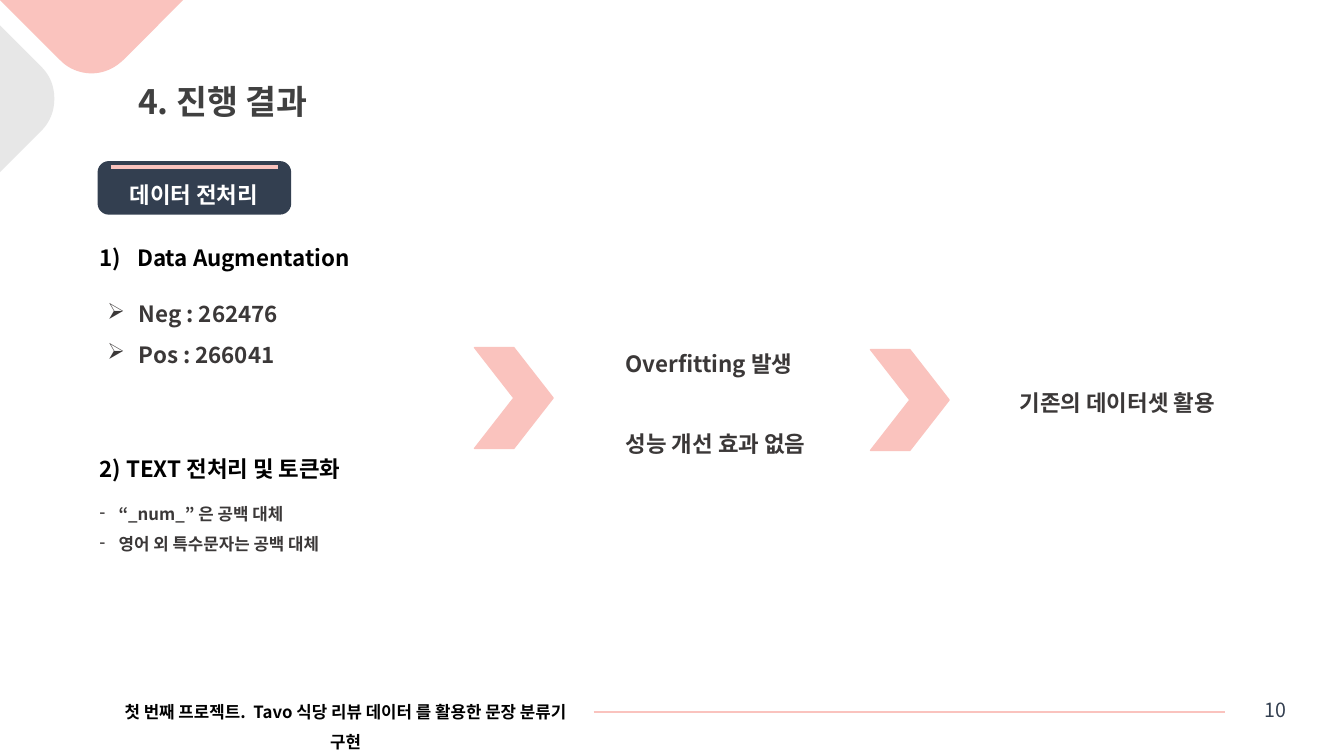
from dataclasses import dataclass

from lxml import etree
from pptx import Presentation
from pptx.dml.color import RGBColor
from pptx.enum.shapes import MSO_CONNECTOR, MSO_SHAPE
from pptx.enum.text import MSO_AUTO_SIZE, PP_ALIGN
from pptx.oxml.ns import qn
from pptx.util import Cm, Pt

LEFT, CENTER = PP_ALIGN.LEFT, PP_ALIGN.CENTER
ROUNDED, CHEVRON = MSO_SHAPE.ROUNDED_RECTANGLE, MSO_SHAPE.CHEVRON
STRAIGHT = MSO_CONNECTOR.STRAIGHT
GROW = MSO_AUTO_SIZE.SHAPE_TO_FIT_TEXT


@dataclass(frozen=True)
class Theme:
    font: str = "Noto Sans CJK KR"
    pink: str = "FAC3BE"
    grey: str = "E7E7E7"
    navy: str = "333F50"
    white: str = "FFFFFF"
    black: str = "000000"
    title_ink: str = "404040"
    body_ink: str = "3B3838"
    title: int = 24
    body: int = 16
    page: int = 14
    small: int = 12
    spacing: float = 1.5


THEME = Theme()


@dataclass(frozen=True)
class Box:
    """A region of the slide, in centimetres."""
    left: float
    top: float
    width: float
    height: float

    def inner(self, dx, dy, width, height):
        return Box(self.left + dx, self.top + dy, width, height)

    def emu(self):
        return [Cm(v) for v in (self.left, self.top, self.width, self.height)]


def rgb(color):
    return RGBColor.from_string(color)


def paint(shape, color, outlined=False):
    shape.shadow.inherit = False
    shape.fill.solid()
    shape.fill.fore_color.rgb = rgb(color)
    if outlined:
        shape.line.color.rgb = rgb(color)
        shape.line.width = Pt(1)
    else:
        shape.line.fill.background()


def add_bullet(paragraph, bullet, indent):
    props = paragraph._p.get_or_add_pPr()
    props.set("marL", str(Cm(indent)))
    props.set("indent", str(-Cm(indent)))
    if bullet == "1)":
        etree.SubElement(props, qn("a:buAutoNum"), type="arabicParenR")
    else:
        etree.SubElement(props, qn("a:buChar"), char=bullet)


def add_text(slide, box, lines, size, color, bold=True, align=LEFT,
             spacing=THEME.spacing, bullet=None, indent=0, gap=0):
    frame = slide.shapes.add_textbox(*box.emu()).text_frame
    frame.word_wrap = True
    frame.auto_size = GROW
    for index, line in enumerate(lines):
        paragraph = frame.add_paragraph() if index else frame.paragraphs[0]
        paragraph.alignment = align
        paragraph.line_spacing = spacing
        if index and gap:
            paragraph.space_before = Pt(gap)
        if bullet:
            add_bullet(paragraph, bullet, indent)
        run = paragraph.add_run()
        run.text = line
        run.font.name = THEME.font
        run.font.size = Pt(size)
        run.font.bold = bold
        run.font.color.rgb = rgb(color)
        etree.SubElement(run._r.get_or_add_rPr(), qn("a:ea"), typeface=THEME.font)


def add_rule(slide, left, top, width, weight):
    rule = slide.shapes.add_connector(
        STRAIGHT, Cm(left), Cm(top), Cm(left + width), Cm(top))
    rule.line.color.rgb = rgb(THEME.pink)
    rule.line.width = Pt(weight)
    etree.SubElement(rule._element.spPr, qn("a:effectLst"))


def curve(start, control_1, control_2, end, steps=12):
    """Points along a cubic Bezier curve, both ends included."""
    points = []
    for step in range(steps + 1):
        t = step / steps
        weights = ((1 - t) ** 3, 3 * t * (1 - t) ** 2, 3 * t * t * (1 - t), t ** 3)
        corners = (start, control_1, control_2, end)
        points.append(tuple(sum(w * c[axis] for w, c in zip(weights, corners))
                            for axis in (0, 1)))
    return points


# Rounded diamonds cut off by the slide's corner
def add_corner(slide, box):
    pink_tip = (curve((1.52, 1.52), (1.73, 1.74), (2.03, 1.85), (2.31, 1.85))
                + curve((2.31, 1.85), (2.59, 1.85), (2.87, 1.74), (3.1, 1.52)))
    grey_tip = (curve((1.04, 1.68), (1.27, 1.91), (1.37, 2.18), (1.37, 2.49))
                + curve((1.37, 2.49), (1.37, 2.79), (1.27, 3.07), (1.04, 3.3)))
    diamonds = (
        (THEME.pink, [(0, 0), *pink_tip, (4.62, 0)]),
        (THEME.grey, [(0, 0.64), *grey_tip, (0, 4.34)]),
    )
    for color, outline in diamonds:
        points = [(Cm(box.left + x), Cm(box.top + y)) for x, y in outline]
        builder = slide.shapes.build_freeform(*points[0])
        builder.add_line_segments(points[1:], close=True)
        paint(builder.convert_to_shape(), color)


# Slide title
def add_title(slide, box):
    add_text(slide, box, ["4. 진행 결과"], THEME.title, THEME.title_ink)


# Dark section label with a pink stroke along its top
def add_section_badge(slide, box):
    badge = slide.shapes.add_shape(ROUNDED, *box.emu())
    badge.adjustments[0] = 0.21
    paint(badge, THEME.navy)
    add_rule(slide, box.left + 0.33, box.top + 0.15, box.width - 0.66, 3)
    add_text(slide, box.inner(0.2, 0.05, box.width - 0.43, 1.19),
             ["데이터 전처리"], THEME.body, THEME.white, align=CENTER)


# The two preprocessing steps and their details
def add_steps(slide, box):
    add_text(slide, box.inner(0, 0, 10.11, 1.19), ["Data Augmentation"],
             THEME.body, THEME.black, bullet="1)", indent=0.95)
    add_text(slide, box.inner(0.2, 1.42, 7.06, 2.21),
             ["Neg : 262476", "Pos : 266041"],
             THEME.body, THEME.body_ink, bullet="➢", indent=0.79)
    add_text(slide, box.inner(0, 5.31, 10.11, 1.27), ["2) TEXT 전처리 및 토큰화"],
             THEME.body, THEME.black)
    add_text(slide, box.inner(0, 6.63, box.width, 1.73),
             ["“_num_” 은 공백 대체", "영어 외 특수문자는 공백 대체"],
             THEME.small, THEME.body_ink, bullet="-", indent=0.48)


# Chevrons leading to the findings and the decision
def add_outcome(slide, box):
    for dx, dy in ((0, 0.4), (9.98, 0.45)):
        chevron = slide.shapes.add_shape(CHEVRON, *box.inner(dx, dy, 1.98, 2.54).emu())
        paint(chevron, THEME.pink, outlined=True)
    add_text(slide, box.inner(3.56, 0, 7.06, box.height),
             ["Overfitting 발생", "성능 개선 효과 없음"],
             THEME.body, THEME.body_ink, gap=28.5)
    add_text(slide, box.inner(13.49, 0.99, 5.56, 1.19), ["기존의 데이터셋 활용"],
             THEME.body, THEME.body_ink)


# Project name, rule and page number
def add_footer(slide, box):
    add_text(slide, box.inner(0, 0, 12.5, 1.02),
             ["첫 번째 프로젝트.  Tavo 식당 리뷰 데이터 를 활용한 문장 분류기 구현"],
             THEME.small, THEME.black, align=CENTER)
    add_rule(slide, box.left + 12.5, box.top + 0.63, 15.9, 1.5)
    add_text(slide, box.inner(28.68, 0.15, 2.03, 0.99), ["10"], THEME.page,
             THEME.navy, bold=False, align=CENTER, spacing=1.0)


def main():
    deck = Presentation()
    deck.slide_width, deck.slide_height = Cm(33.87), Cm(19.05)
    slide = deck.slides.add_slide(deck.slide_layouts[6])
    add_corner(slide, Box(0, 0, 4.62, 4.34))
    add_footer(slide, Box(2.46, 17.3, 30.71, 1.14))
    add_section_badge(slide, Box(2.46, 4.06, 4.88, 1.35))
    add_title(slide, Box(3.23, 1.4, 8.48, 1.8))
    add_steps(slide, Box(2.26, 5.69, 15.93, 8.36))
    add_outcome(slide, Box(11.96, 8.36, 19.05, 3.23))
    deck.save("out.pptx")


if __name__ == "__main__":
    main()
